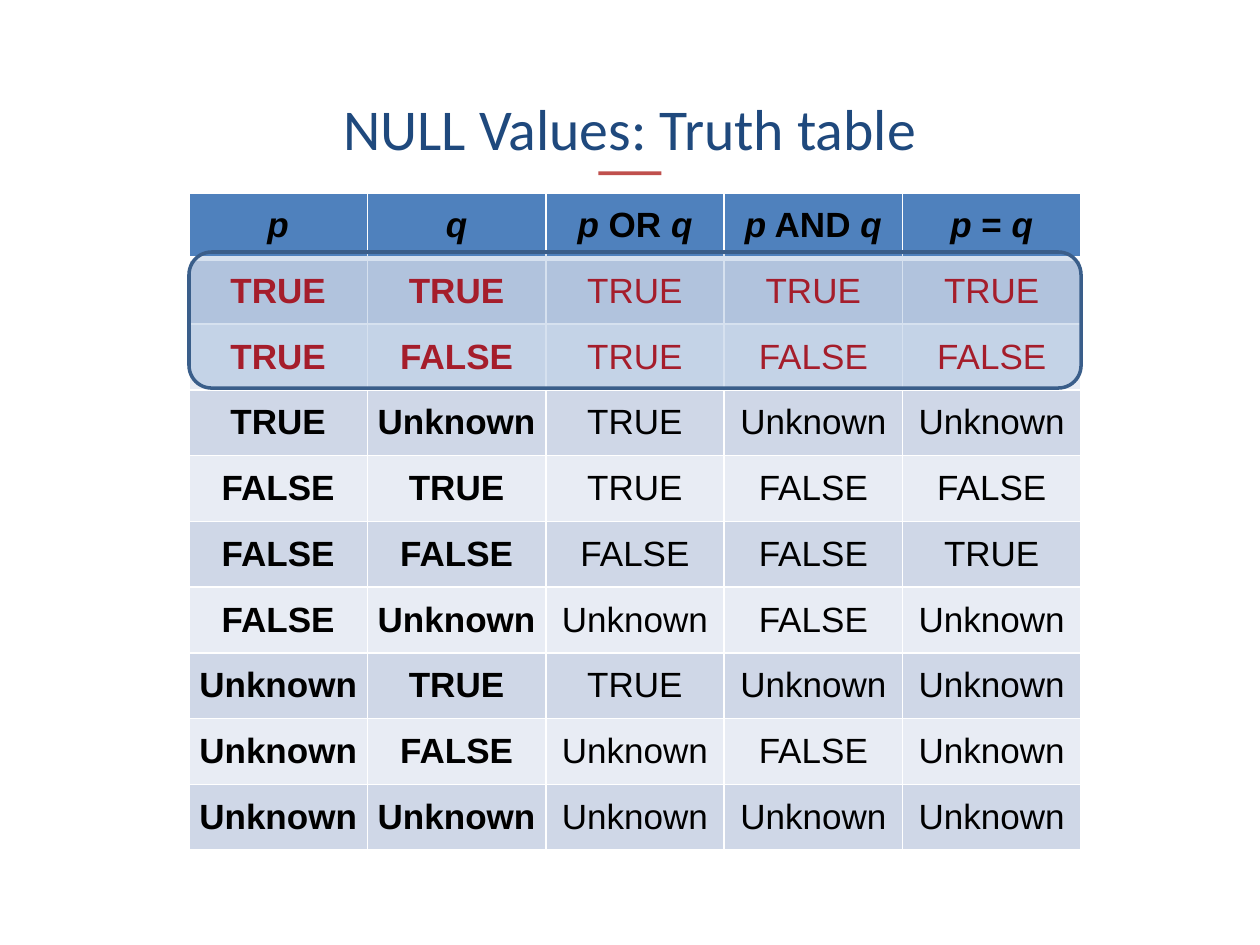
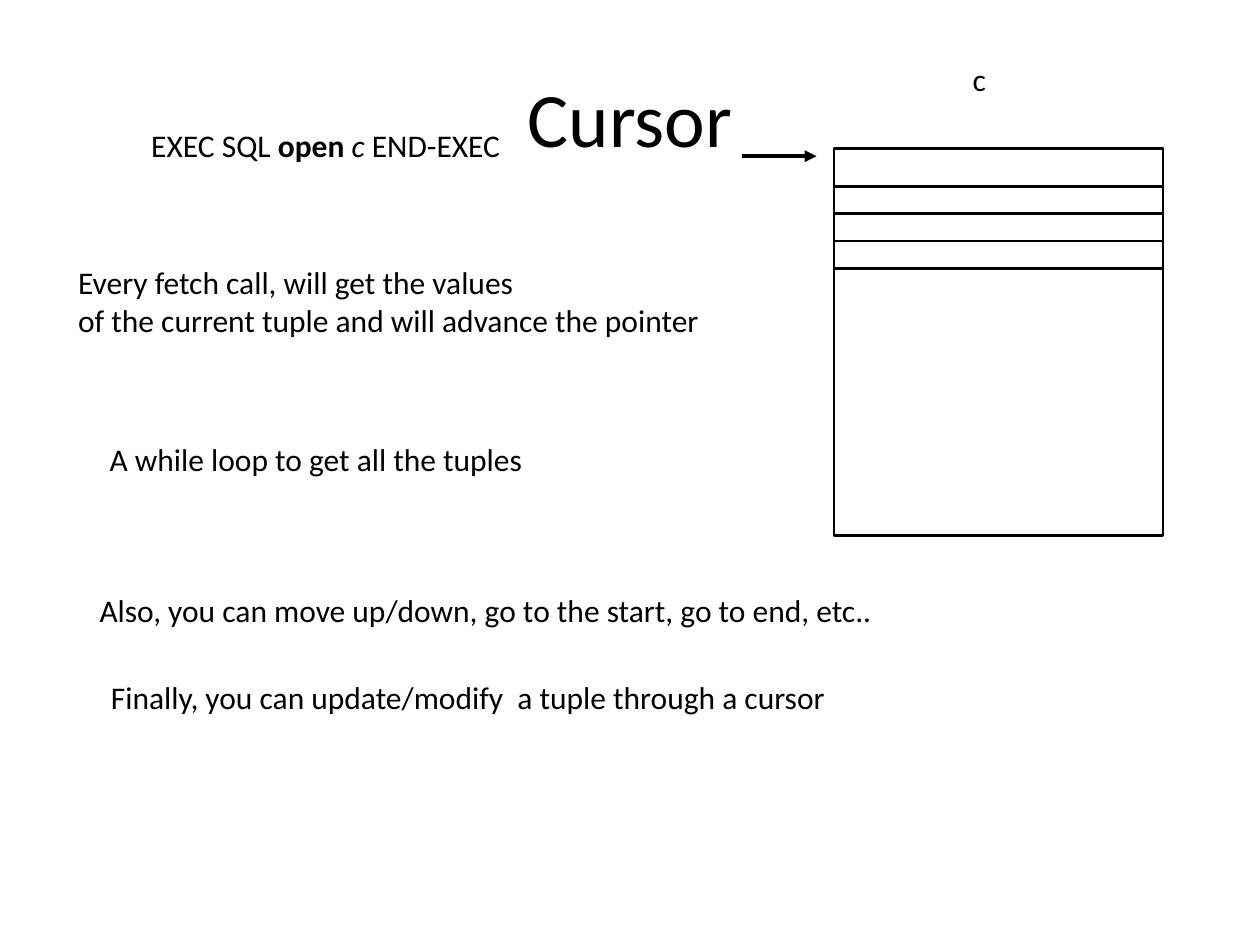
"""Build two database slides: a three-valued truth table and the cursor concept."""
import itertools

import pptx
import pptx.dml.color
import pptx.enum.shapes
import pptx.enum.text
import pptx.oxml.ns
import pptx.oxml.xmlchemy
import pptx.util

BLACK = pptx.dml.color.RGBColor(0x00, 0x00, 0x00)
WHITE = pptx.dml.color.RGBColor(0xFF, 0xFF, 0xFF)
NAVY = pptx.dml.color.RGBColor(0x1F, 0x49, 0x7D)
RED = pptx.dml.color.RGBColor(0xC0, 0x50, 0x4D)
DARK_RED = pptx.dml.color.RGBColor(0xC0, 0x00, 0x00)
BLUE = pptx.dml.color.RGBColor(0x4F, 0x81, 0xBD)
DARK_BLUE = pptx.dml.color.RGBColor(0x3A, 0x5E, 0x8A)
BANDS = (pptx.dml.color.RGBColor(0xCF, 0xD7, 0xE7),
         pptx.dml.color.RGBColor(0xE8, 0xEC, 0xF4))

TEXT_FONT = "Calibri"
TABLE_FONT = "Arial"
PLAIN, BOLD, ITALIC = (False, False), (True, False), (False, True)
BOLD_ITALIC = (True, True)

TRUTH_RANK = {"FALSE": 0, "Unknown": 1, "TRUE": 2}
HEADINGS = (
    [("p", BOLD_ITALIC)],
    [("q", BOLD_ITALIC)],
    [("p", BOLD_ITALIC), (" OR ", BOLD), ("q", BOLD_ITALIC)],
    [("p", BOLD_ITALIC), (" AND ", BOLD), ("q", BOLD_ITALIC)],
    [("p", BOLD_ITALIC), (" = ", BOLD), ("q", BOLD_ITALIC)],
)
HIGHLIGHTED_ROWS = (1, 2)


def truth_rows():
    """Return p, q, p OR q, p AND q and p = q for every pair of truth values."""
    rows = []
    for p, q in itertools.product(("TRUE", "FALSE", "Unknown"), repeat=2):
        if "Unknown" in (p, q):
            equal = "Unknown"
        else:
            equal = "TRUE" if p == q else "FALSE"
        either = max(p, q, key=TRUTH_RANK.get)
        both = min(p, q, key=TRUTH_RANK.get)
        rows.append((p, q, either, both, equal))
    return rows


def inches(*values):
    """Convert several numbers to lengths."""
    return [pptx.util.Inches(value) for value in values]


def write_runs(paragraph, pieces, font_name, size, color):
    """Write (text, (bold, italic)) pieces into a paragraph."""
    for text, (bold, italic) in pieces:
        run = paragraph.add_run()
        run.text = text
        run.font.name = font_name
        run.font.size = pptx.util.Pt(size)
        run.font.color.rgb = color
        run.font.bold = bold
        run.font.italic = italic


def set_margins(holder, margin):
    """Give a text frame or cell the same margin on all sides."""
    holder.margin_left = holder.margin_right = pptx.util.Inches(margin)
    holder.margin_top = holder.margin_bottom = pptx.util.Inches(margin)


def add_titled_slide(presentation, title, top, height, size, color):
    """Add a slide with a centred title placeholder."""
    slide = presentation.slides.add_slide(presentation.slide_layouts[5])
    shape = slide.shapes.title
    shape.left, shape.top, shape.width, shape.height = inches(0.5, top, 9, height)
    set_margins(shape.text_frame, 0.05)
    shape.text_frame.vertical_anchor = pptx.enum.text.MSO_ANCHOR.MIDDLE
    paragraph = shape.text_frame.paragraphs[0]
    paragraph.alignment = pptx.enum.text.PP_ALIGN.CENTER
    write_runs(paragraph, [(title, PLAIN)], TEXT_FONT, size, color)
    return slide


def add_box(slide, kind, left, top, width, height, fill=None, line=None, line_width=1.5):
    """Add a preset shape with an optional fill and outline."""
    shape = slide.shapes.add_shape(kind, *inches(left, top, width, height))
    shape.shadow.inherit = False
    if fill is None:
        shape.fill.background()
    else:
        shape.fill.solid()
        shape.fill.fore_color.rgb = fill
    if line is None:
        shape.line.fill.background()
    else:
        shape.line.color.rgb = line
        shape.line.width = pptx.util.Pt(line_width)
    return shape


def set_opacity(shape, percent):
    """Make the solid fill of a shape partly transparent."""
    fill = shape._element.spPr.find(pptx.oxml.ns.qn("a:solidFill"))
    alpha = pptx.oxml.xmlchemy.OxmlElement("a:alpha")
    alpha.set("val", str(percent * 1000))
    fill[0].append(alpha)


def add_line(slide, start, end, width=1.5, arrow=False):
    """Add a straight black line, with an arrowhead at its end if wanted."""
    connector = slide.shapes.add_connector(
        pptx.enum.shapes.MSO_CONNECTOR.STRAIGHT, *inches(*start, *end))
    connector.line.color.rgb = BLACK
    connector.line.width = pptx.util.Pt(width)
    properties = connector._element.spPr
    if arrow:
        head = pptx.oxml.xmlchemy.OxmlElement("a:tailEnd")
        head.set("type", "triangle")
        properties.find(pptx.oxml.ns.qn("a:ln")).append(head)
    properties.append(pptx.oxml.xmlchemy.OxmlElement("a:effectLst"))


def add_note(slide, left, top, width, height, *lines):
    """Add an unwrapped text box with one paragraph for each list of pieces."""
    box = slide.shapes.add_textbox(*inches(left, top, width, height))
    text_frame = box.text_frame
    set_margins(text_frame, 0.05)
    text_frame.word_wrap = False
    text_frame.auto_size = pptx.enum.text.MSO_AUTO_SIZE.SHAPE_TO_FIT_TEXT
    for index, pieces in enumerate(lines):
        paragraph = text_frame.add_paragraph() if index else text_frame.paragraphs[0]
        write_runs(paragraph, pieces, TEXT_FONT, 18, BLACK)


def set_borders(cell, top, bottom):
    """Draw white cell borders with the given top and bottom widths."""
    properties = cell._tc.get_or_add_tcPr()
    widths = (("a:lnL", 1), ("a:lnR", 1), ("a:lnT", top), ("a:lnB", bottom))
    for position, (tag, width) in enumerate(widths):
        line = pptx.oxml.xmlchemy.OxmlElement(tag)
        line.set("w", str(int(pptx.util.Pt(width))))
        fill = pptx.oxml.xmlchemy.OxmlElement("a:solidFill")
        color = pptx.oxml.xmlchemy.OxmlElement("a:srgbClr")
        color.set("val", str(WHITE))
        fill.append(color)
        line.append(fill)
        properties.insert(position, line)


def fill_cell(cell, pieces, fill, color):
    """Write centred text into a cell and colour its background."""
    cell.fill.solid()
    cell.fill.fore_color.rgb = fill
    set_margins(cell, 0.01)
    cell.vertical_anchor = pptx.enum.text.MSO_ANCHOR.MIDDLE
    paragraph = cell.text_frame.paragraphs[0]
    paragraph.alignment = pptx.enum.text.PP_ALIGN.CENTER
    write_runs(paragraph, pieces, TABLE_FONT, 20, color)


def add_truth_table(slide, left, top, width, height):
    """Add the truth table with a blue header and banded rows."""
    body = [[[(value, BOLD if column < 2 else PLAIN)]
             for column, value in enumerate(values)] for values in truth_rows()]
    rows = [HEADINGS] + body
    table = slide.shapes.add_table(
        len(rows), len(HEADINGS), *inches(left, top, width, height)).table
    for row, cells in enumerate(rows):
        fill = BANDS[(row - 1) % 2] if row else BLUE
        color = DARK_RED if row in HIGHLIGHTED_ROWS else BLACK
        for column, pieces in enumerate(cells):
            cell = table.cell(row, column)
            fill_cell(cell, pieces, fill, color)
            set_borders(cell, 3 if row == 1 else 1, 3 if row == 0 else 1)


def build_truth_table_slide(presentation):
    """Build the slide on NULL values in logical expressions."""
    slide = add_titled_slide(
        presentation, "NULL Values: Truth table", 0.73, 0.57, 33, NAVY)
    shapes = pptx.enum.shapes.MSO_SHAPE
    add_box(slide, shapes.RECTANGLE, 4.75, 1.36, 0.5, 0.03, fill=RED)
    add_truth_table(slide, 1.5, 1.53, 7.08, 5.22)
    highlight = add_box(slide, shapes.ROUNDED_RECTANGLE, 1.5, 2, 7.08, 1.08,
                        fill=BLUE, line=DARK_BLUE, line_width=2)
    set_opacity(highlight, 23)


def build_cursor_slide(presentation):
    """Build the slide that shows a cursor pointing into a set of tuples."""
    slide = add_titled_slide(presentation, "Cursor", 0.3, 1.25, 44, BLACK)
    add_note(slide, 1.15, 0.95, 2.88, 0.36,
             [("EXEC SQL ", PLAIN), ("open ", BOLD), ("c ", ITALIC), ("END-EXEC", PLAIN)])

    left, width = 6.62, 2.61
    add_box(slide, pptx.enum.shapes.MSO_SHAPE.RECTANGLE, left, 1.18, width, 3.07, line=BLACK)
    for index in range(4):
        tuple_bottom = 1.48 + index * 0.65 / 3
        add_line(slide, (left, tuple_bottom), (left + width, tuple_bottom))
    add_note(slide, 7.67, 0.43, 0.22, 0.36, [("c", PLAIN)])
    add_line(slide, (5.89, 1.24), (6.48, 1.24), width=2.25, arrow=True)

    add_note(slide, 0.57, 2.04, 5.04, 0.68,
             [("Every fetch call, will get the values", PLAIN)],
             [("of the current tuple and will advance the pointer", PLAIN)])
    add_note(slide, 0.82, 3.44, 3.39, 0.36,
             [("A while loop to get all the tuples", PLAIN)])
    add_note(slide, 0.74, 4.64, 6.3, 0.36,
             [("Also, you can move up/down, go to the start, go to end, etc..", PLAIN)])
    add_note(slide, 0.83, 5.33, 5.79, 0.36,
             [("Finally, you can update/modify  a tuple through a cursor", PLAIN)])


def main():
    """Create the presentation and save it."""
    presentation = pptx.Presentation()
    presentation.slide_width, presentation.slide_height = inches(10, 7.5)
    build_truth_table_slide(presentation)
    build_cursor_slide(presentation)
    presentation.save("out.pptx")


if __name__ == "__main__":
    main()
